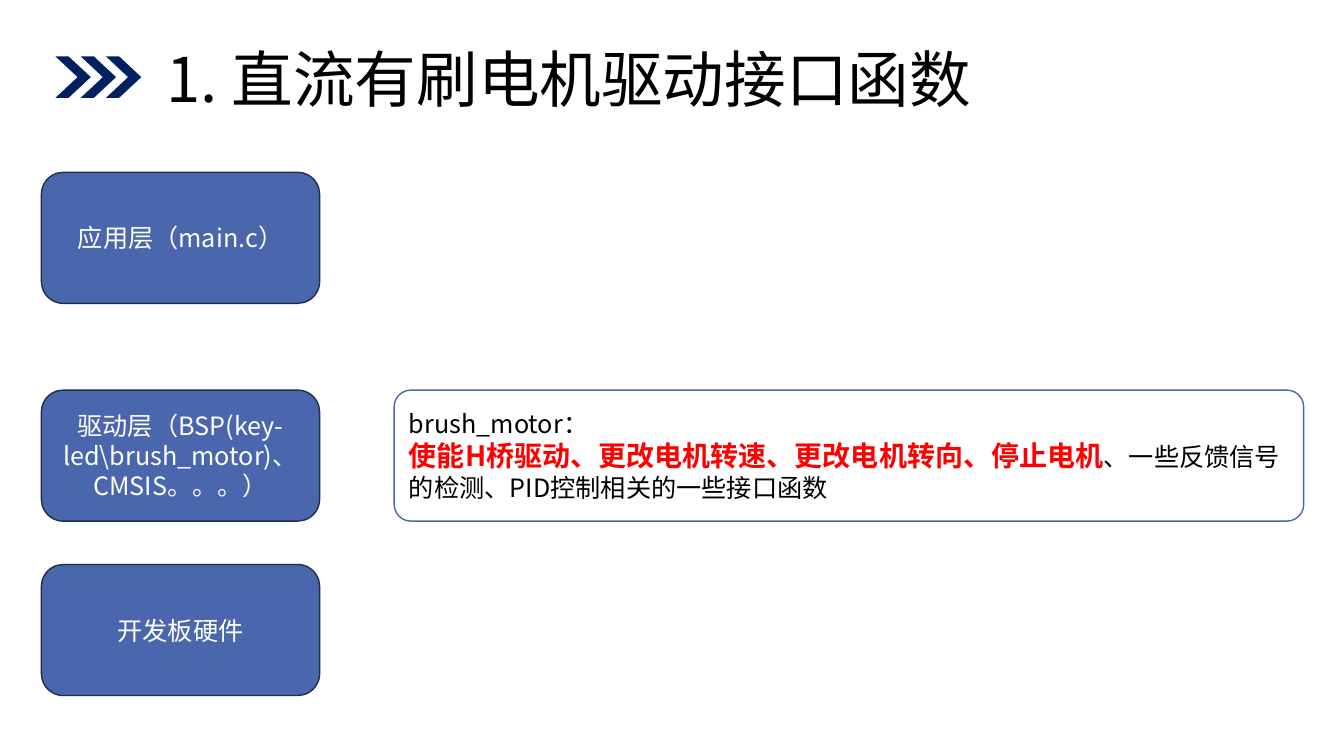
import pptx
import pptx.util
import pptx.dml.color
import pptx.enum.shapes
import pptx.enum.text
import lxml.etree
from dataclasses import dataclass

ALIGN = pptx.enum.text.PP_ALIGN
MIDDLE = pptx.enum.text.MSO_ANCHOR.MIDDLE


def rgb(value):
    return pptx.dml.color.RGBColor.from_string(value)


@dataclass(frozen=True)
class Theme:
    font: str = "Noto Sans CJK SC"
    navy: str = "002060"
    blue: str = "4A66AC"
    dark_blue: str = "202D4B"
    white: str = "FFFFFF"
    black: str = "000000"
    red: str = "FF0000"
    title: int = 44
    strong: int = 20
    body: int = 18
    line: int = 1


class Deck:
    """Style and current slide; lengths are columns and rows of a 100 x 100 grid."""

    def __init__(self, theme):
        self.theme = theme
        self.prs = pptx.Presentation()
        self.prs.slide_width = pptx.util.Inches(13.33)
        self.prs.slide_height = pptx.util.Inches(7.5)
        self.s = self.prs.slides.add_slide(self.prs.slide_layouts[5])

    def col(self, n):
        return round(self.prs.slide_width * n / 100)

    def row(self, n):
        return round(self.prs.slide_height * n / 100)

    def box(self, left, top, width, height):
        return self.col(left), self.row(top), self.col(width), self.row(height)

    def run(self, p, text, size, color, bold=False):
        r = p.add_run()
        r.text = text
        values = {"name": self.theme.font, "size": pptx.util.Pt(size), "bold": bold}
        for name, value in values.items():
            setattr(r.font, name, value)
        r.font.color.rgb = rgb(color)
        # East Asian glyphs take their typeface from a:ea
        tag = pptx.oxml.ns.qn("a:ea")
        lxml.etree.SubElement(r.font._element, tag, typeface=self.theme.font)

    def text(self, tf, paragraphs, align):
        tf.word_wrap = True
        tf.vertical_anchor = MIDDLE
        for i, runs in enumerate(paragraphs):
            p = tf.add_paragraph() if i else tf.paragraphs[0]
            p.alignment = align
            for r in runs:
                self.run(p, *r)

    def title(self, text, *grid):
        sp = self.s.shapes.title
        for name, value in zip(("left", "top", "width", "height"), self.box(*grid)):
            setattr(sp, name, value)
        run = (text, self.theme.title, self.theme.black)
        self.text(sp.text_frame, [[run]], ALIGN.LEFT)
        sp.text_frame.paragraphs[0].line_spacing = 0.9

    def card(self, grid, fill, line, paragraphs, align, corner=None):
        kind = pptx.enum.shapes.MSO_SHAPE.ROUNDED_RECTANGLE
        sp = self.s.shapes.add_shape(kind, *self.box(*grid))
        sp.shadow.inherit = False
        if corner is not None:
            sp.adjustments[0] = corner
        sp.fill.solid()
        sp.fill.fore_color.rgb = rgb(fill)
        sp.line.color.rgb = rgb(line)
        sp.line.width = pptx.util.Pt(self.theme.line)
        self.text(sp.text_frame, paragraphs, align)

    def chevron(self, left, top, width, height, arm):
        notch, middle = left + width - arm, top + height / 2
        points = [
            (left, top), (left + arm, top), (left + width, middle),
            (left + arm, top + height), (left, top + height), (notch, middle),
        ]
        points = [(self.col(x), self.row(y)) for x, y in points]
        shape = self.s.shapes.build_freeform(*points[0])
        shape.add_line_segments(points[1:], close=True)
        sp = shape.convert_to_shape()
        sp.shadow.inherit = False
        sp.fill.solid()
        sp.fill.fore_color.rgb = rgb(self.theme.navy)
        sp.line.fill.background()


def main():
    t = Theme()
    deck = Deck(t)

    # Heading with three chevrons
    for i in range(3):
        deck.chevron(4.13 + 1.88 * i, 7.47, 2.63, 5.47, 0.98)
    deck.title("1. 直流有刷电机驱动接口函数", 11.63, 5.33, 84.25, 11.07)

    # Software layers, top to bottom
    height, driver_top = 17.33, 51.6
    layers = [
        (22.8, "应用层（main.c）"),
        (driver_top, "驱动层（BSP(key-led\\brush_motor)、CMSIS。。。）"),
        (74.67, "开发板硬件"),
    ]
    for top, label in layers:
        deck.card((3.08, top, 20.7, height), t.blue, t.dark_blue,
                  [[(label, t.body, t.white)]], ALIGN.CENTER)

    # Driver layer details
    details = [
        [("brush_motor：", t.body, t.black)],
        [("使能H桥驱动、更改电机转速、更改电机转向、停止电机", t.strong, t.red, True),
         ("、一些反馈信号的检测、PID控制相关的一些接口函数", t.body, t.black)],
    ]
    deck.card((29.33, driver_top, 67.67, height), t.white, t.blue,
              details, ALIGN.LEFT, corner=0.127)

    deck.prs.save("out.pptx")


if __name__ == "__main__":
    main()
